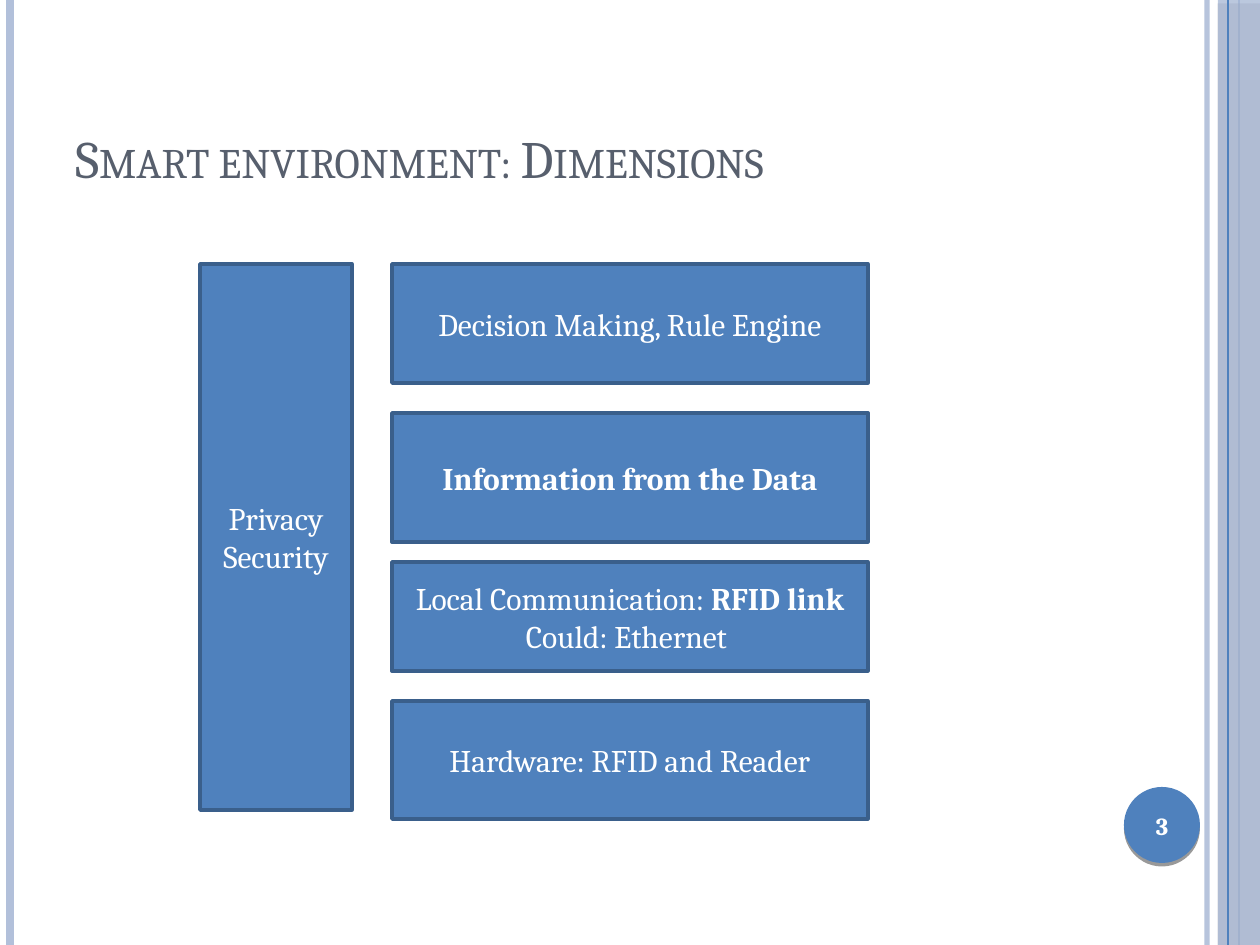
"""Build the slide on the dimensions of a smart environment."""
from lxml import etree
from pptx import Presentation
from pptx.dml.color import RGBColor
from pptx.enum.shapes import MSO_CONNECTOR, MSO_SHAPE
from pptx.enum.text import MSO_ANCHOR, PP_ALIGN
from pptx.oxml.ns import qn
from pptx.util import Pt

LINE, RECT, OVAL = MSO_CONNECTOR.STRAIGHT, MSO_SHAPE.RECTANGLE, MSO_SHAPE.OVAL
MIDDLE, BOTTOM = MSO_ANCHOR.MIDDLE, MSO_ANCHOR.BOTTOM
LEFT, CENTER = PP_ALIGN.LEFT, PP_ALIGN.CENTER
BLUE = RGBColor(0x4F, 0x81, 0xBD)
PALE = RGBColor(0xB2, 0xC0, 0xDA)
EDGE = RGBColor(0x3A, 0x5F, 0x8B)
SLATE = RGBColor(0x57, 0x5F, 0x6D)
WHITE = RGBColor(0xFF, 0xFF, 0xFF)
BLACK = RGBColor(0, 0, 0)
WIDTH, HEIGHT = 1260, 945
SCALE = 914400 / 126


def emu(*lengths):
    return [round(n * SCALE) for n in lengths]


def set_alpha(clr, percent):
    etree.SubElement(clr, qn("a:alpha")).set("val", str(percent * 1000))


class Deck:
    font = "Cambria"

    def __init__(self):
        self.prs = Presentation()
        self.prs.slide_width, self.prs.slide_height = emu(WIDTH, HEIGHT)
        self.s = self.prs.slides.add_slide(self.prs.slide_layouts[6])

    def rule(self, x, color, width, alpha=None):
        sp = self.s.shapes.add_connector(LINE, *emu(x, 0, x, HEIGHT))
        sp.line.color.rgb, sp.line.width = color, Pt(width)
        spPr = sp._element.spPr
        if alpha:
            set_alpha(spPr.find(".//" + qn("a:srgbClr")), alpha)
        etree.SubElement(spPr, qn("a:effectLst"))

    def shape(self, kind, box, color, edge=None):
        sp = self.s.shapes.add_shape(kind, *emu(*box))
        sp.shadow.inherit = False
        sp.fill.solid()
        sp.fill.fore_color.rgb = color
        if edge:
            sp.line.color.rgb, sp.line.width = edge, Pt(2)
        else:
            sp.line.fill.background()
        return sp

    def shaded(self, kind, box, color, alpha=None):
        spPr = self.shape(kind, box, color)._element.spPr
        if alpha:
            set_alpha(spPr.find(".//" + qn("a:srgbClr")), alpha)
        shadow = etree.SubElement(spPr.find(qn("a:effectLst")), qn("a:outerShdw"))
        for key, value in {"dist": Pt(2), "dir": 90 * 60000, "rotWithShape": 0}.items():
            shadow.set(key, str(int(value)))
        clr = etree.SubElement(shadow, qn("a:srgbClr"))
        clr.set("val", str(BLACK))
        set_alpha(clr, 40)

    def fill_text(self, sp, lines, size, color, align=CENTER, anchor=MIDDLE, caps=False):
        tf = sp.text_frame
        tf.word_wrap, tf.vertical_anchor = True, anchor
        for i, runs in enumerate(lines):
            p = tf.add_paragraph() if i else tf.paragraphs[0]
            p.alignment = align
            for text, bold in runs:
                r = p.add_run()
                r.text = text
                style = {"name": self.font, "size": Pt(size), "bold": bold}
                for key, value in style.items():
                    setattr(r.font, key, value)
                r.font.color.rgb = color
                if caps:
                    r._r.get_or_add_rPr().set("cap", "small")

    def text(self, box, *args, **kwargs):
        self.fill_text(self.s.shapes.add_textbox(*emu(*box)), *args, **kwargs)

    def block(self, box, lines):
        self.fill_text(self.shape(RECT, box, BLUE, EDGE), lines, 18, WHITE)


def main():
    deck = Deck()
    deck.rule(1207, PALE, 3, 93)
    deck.rule(10, PALE, 4.5)
    deck.rule(1239, BLUE, 1.5)
    deck.shaded(RECT, (1218, 0, 42, HEIGHT), PALE, 87)
    deck.rule(1228, BLUE, 0.75)
    deck.shaded(OVAL, (1124, 787, 76, 76), BLUE)
    deck.text((63, 38, 1029, 157), [[("Smart environment: Dimensions", False)]],
              30, SLATE, LEFT, BOTTOM, caps=True)

    layers = [
        (701, 118, [[("Hardware: RFID and Reader", False)]]),
        (562, 109, [[("Local Communication: ", False), ("RFID link", True)],
                    [("Could: Ethernet ", False)]]),
        (413, 129, [[("Information from the Data", True)]]),
        (264, 119, [[("Decision Making, Rule Engine", False)]]),
    ]
    for top, height, lines in layers:
        deck.block((392, top, 476, height), lines)
    deck.block((200, 264, 152, 546), [[("Privacy", False)], [("Security", False)]])
    deck.text((1120, 790, 84, 72), [[("3", True)]], 14, WHITE)
    deck.prs.save("out.pptx")


if __name__ == "__main__":
    main()
